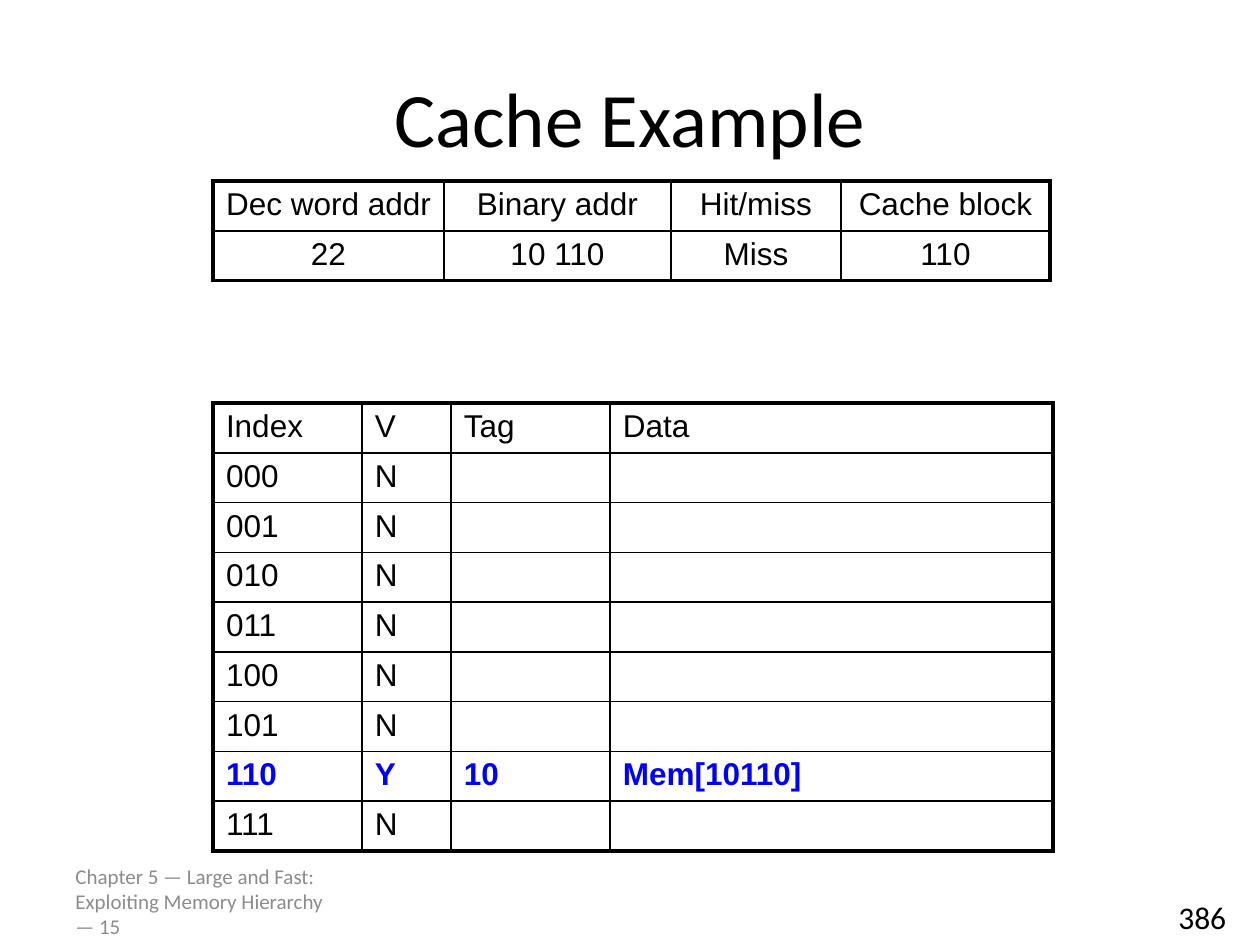
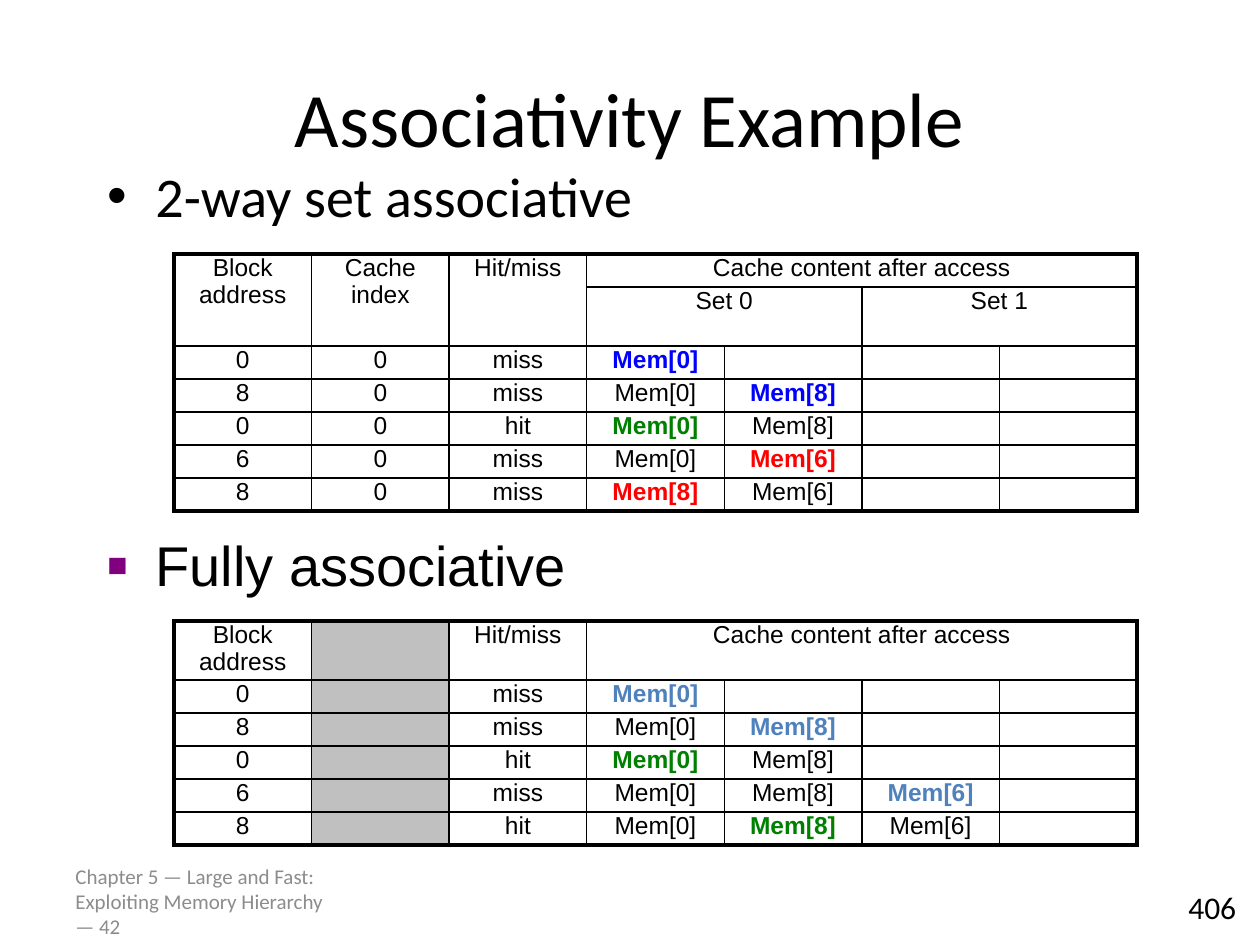
from lxml.etree import SubElement
from pptx import Presentation
from pptx.dml.color import RGBColor
from pptx.enum.text import MSO_ANCHOR, MSO_AUTO_SIZE, PP_ALIGN
from pptx.oxml.ns import qn
from pptx.util import Emu, Pt

PX_PER_INCH = 126
BLACK = RGBColor(0x00, 0x00, 0x00)
FOOTER_GRAY = RGBColor(0x8C, 0x8C, 0x8C)
SHADE_GRAY = RGBColor(0xC0, 0xC0, 0xC0)
BLUE = RGBColor(0x00, 0x00, 0xFF)
ACCENT_BLUE = RGBColor(0x4F, 0x81, 0xBD)
GREEN = RGBColor(0x00, 0x80, 0x00)
RED = RGBColor(0xFF, 0x00, 0x00)
PURPLE = RGBColor(0x80, 0x00, 0x80)
HEADING_FONT = "Calibri"
TABLE_FONT = "Arial"
OUTER_LINE, HEADER_LINE, INNER_LINE = 2.25, 1.5, 1
CHAPTER = "Chapter 5 — Large and Fast: Exploiting Memory Hierarchy"


def px(length):
    return Emu(round(length * 914400 / PX_PER_INCH))


def style_paragraph(para, size, font=HEADING_FONT, color=BLACK, bold=False):
    para.font.name = font
    para.font.size = Pt(size)
    para.font.bold = bold
    para.font.color.rgb = color


def add_text(page, place, text, size, font=HEADING_FONT, color=BLACK,
             anchor=MSO_ANCHOR.TOP, align=PP_ALIGN.LEFT):
    box = page.shapes.add_textbox(*map(px, place))
    frame = box.text_frame
    frame.word_wrap = True
    frame.vertical_anchor = anchor
    para = frame.paragraphs[0]
    para.text = text
    para.alignment = align
    style_paragraph(para, size, font, color)
    return box


def add_bullet(page, place, text, font, symbol, color=BLACK, percent=100, spacing=1.0):
    box = page.shapes.add_textbox(*map(px, place))
    box.text_frame.word_wrap = True
    para = box.text_frame.paragraphs[0]
    para.text = text
    properties = para._p.get_or_add_pPr()
    properties.set("marL", str(px(48)))
    properties.set("indent", str(-px(48)))
    bullet_color = SubElement(properties, qn("a:buClr"))
    SubElement(bullet_color, qn("a:srgbClr"), val=str(color))
    SubElement(properties, qn("a:buSzPct"), val=str(percent * 1000))
    SubElement(properties, qn("a:buFont"), typeface="Arial")
    SubElement(properties, qn("a:buChar"), char=symbol)
    para.line_spacing = spacing
    style_paragraph(para, 32, font)


def add_page(deck, title, chapter_page, page_number, number_place):
    page = deck.slides.add_slide(deck.slide_layouts[6])
    add_text(page, (63, 876, 294, 50), f"{CHAPTER} — {chapter_page}", 12,
             color=FOOTER_GRAY, anchor=MSO_ANCHOR.MIDDLE)
    add_text(page, (63, 38, 1134, 157), title, 44,
             anchor=MSO_ANCHOR.MIDDLE, align=PP_ALIGN.CENTER)
    number = add_text(page, (*number_place, 74, 50), page_number, 18)
    number.text_frame.word_wrap = False
    number.text_frame.auto_size = MSO_AUTO_SIZE.SHAPE_TO_FIT_TEXT
    return page


def set_borders(cell, **widths):
    properties = cell._tc.get_or_add_tcPr()
    for side in "LRTB":
        line = SubElement(properties, qn(f"a:ln{side}"), w=str(Pt(widths[side])))
        fill = SubElement(line, qn("a:solidFill"))
        SubElement(fill, qn("a:srgbClr"), val=str(BLACK))


def fill_cell(cell, entry, size, align):
    """An entry is plain text or a (text, highlight colour) pair."""
    text, color = entry if isinstance(entry, tuple) else (entry, None)
    para = cell.text_frame.paragraphs[0]
    para.alignment = align
    if text:
        para.text = text
    style_paragraph(para, size, TABLE_FONT, color or BLACK, bold=color is not None)
    if not text:
        SubElement(para._p, qn("a:endParaRPr"), sz=str(size * 100))


def add_grid(page, corner, widths, heights, rows, size=18, align=PP_ALIGN.CENTER,
             header_line=INNER_LINE, padding=6, merges=(), shaded_column=None):
    """Merges are (row, column, last row, last column)."""
    frame = page.shapes.add_table(len(heights), len(widths), *map(px, corner),
                                  px(sum(widths)), px(sum(heights)))
    table = frame.table
    table.first_row = table.horz_banding = False
    for column, width in zip(table.columns, widths):
        column.width = px(width)
    for row, height in zip(table.rows, heights):
        row.height = px(height)
    for top, left, bottom, right in merges:
        table.cell(top, left).merge(table.cell(bottom, right))

    def row_line(edge):
        if edge in (0, len(heights)):
            return OUTER_LINE
        return header_line if edge == 1 else INNER_LINE

    def column_line(edge):
        return OUTER_LINE if edge in (0, len(widths)) else INNER_LINE

    for r, entries in enumerate(rows):
        for c in range(len(widths)):
            cell = table.cell(r, c)
            cell.margin_left = cell.margin_right = px(13)
            cell.margin_top = cell.margin_bottom = px(padding)
            across = cell.span_width if cell.is_merge_origin else 1
            down = cell.span_height if cell.is_merge_origin else 1
            set_borders(cell, L=column_line(c), R=column_line(c + across),
                        T=row_line(r), B=row_line(r + down))
            if c == shaded_column:
                cell.fill.solid()
                cell.fill.fore_color.rgb = SHADE_GRAY
            else:
                cell.fill.background()
            fill_cell(cell, entries[c] if c < len(entries) else "", size, align)


def build_cache_example(deck):
    page = add_page(deck, "Cache Example", 15, "386", (1166, 892))
    cache = [[f"{index:03b}", "N"] for index in range(8)]
    cache[0b110] = [(text, BLUE) for text in ("110", "Y", "10", "Mem[10110]")]
    add_grid(page, (213, 403), [149, 89, 159, 443], [48] * 9,
             [["Index", "V", "Tag", "Data"], *cache],
             align=PP_ALIGN.LEFT, header_line=HEADER_LINE)
    add_grid(page, (213, 181), [231, 227, 170, 209], [48] * 2,
             [["Dec word addr", "Binary addr", "Hit/miss", "Cache block"],
              ["22", "10 110", "Miss", "110"]], header_line=HEADER_LINE)


def build_associativity_example(deck):
    page = add_page(deck, "Associativity Example", 42, "406", (1176, 882))
    widths = [963 / 7] * 7
    content = "Cache content after access"

    add_bullet(page, (95, 155, 1140, 100), "2-way set associative", HEADING_FONT, "•")
    two_way = [
        ["Block address", "Cache index", "Hit/miss", content],
        ["", "", "", "Set 0", "", "Set 1"],
        ["0", "0", "miss", ("Mem[0]", BLUE)],
        ["8", "0", "miss", "Mem[0]", ("Mem[8]", BLUE)],
        ["0", "0", "hit", ("Mem[0]", GREEN), "Mem[8]"],
        ["6", "0", "miss", "Mem[0]", ("Mem[6]", RED)],
        ["8", "0", "miss", ("Mem[8]", RED), "Mem[6]"],
    ]
    header_merges = [(0, column, 1, column) for column in range(3)]
    set_merges = [(0, 3, 0, 6), (1, 3, 1, 4), (1, 5, 1, 6)]
    add_grid(page, (174, 254), widths, [33, 54] + [33] * 5, two_way, size=14,
             padding=0, merges=header_merges + set_merges)

    add_bullet(page, (95, 532, 1071, 79), "Fully associative", TABLE_FONT, "■",
               color=PURPLE, percent=60, spacing=0.9)
    fully = [
        ["Block address", "", "Hit/miss", content],
        ["0", "", "miss", ("Mem[0]", ACCENT_BLUE)],
        ["8", "", "miss", "Mem[0]", ("Mem[8]", ACCENT_BLUE)],
        ["0", "", "hit", ("Mem[0]", GREEN), "Mem[8]"],
        ["6", "", "miss", "Mem[0]", "Mem[8]", ("Mem[6]", ACCENT_BLUE)],
        ["8", "", "hit", "Mem[0]", ("Mem[8]", GREEN), "Mem[6]"],
    ]
    add_grid(page, (174, 621), widths, [55] + [33] * 5, fully, size=14,
             padding=0, merges=[(0, 3, 0, 6)], shaded_column=1)


def main():
    deck = Presentation()
    deck.slide_width, deck.slide_height = px(1260), px(945)
    build_cache_example(deck)
    build_associativity_example(deck)
    deck.save("out.pptx")


if __name__ == "__main__":
    main()
